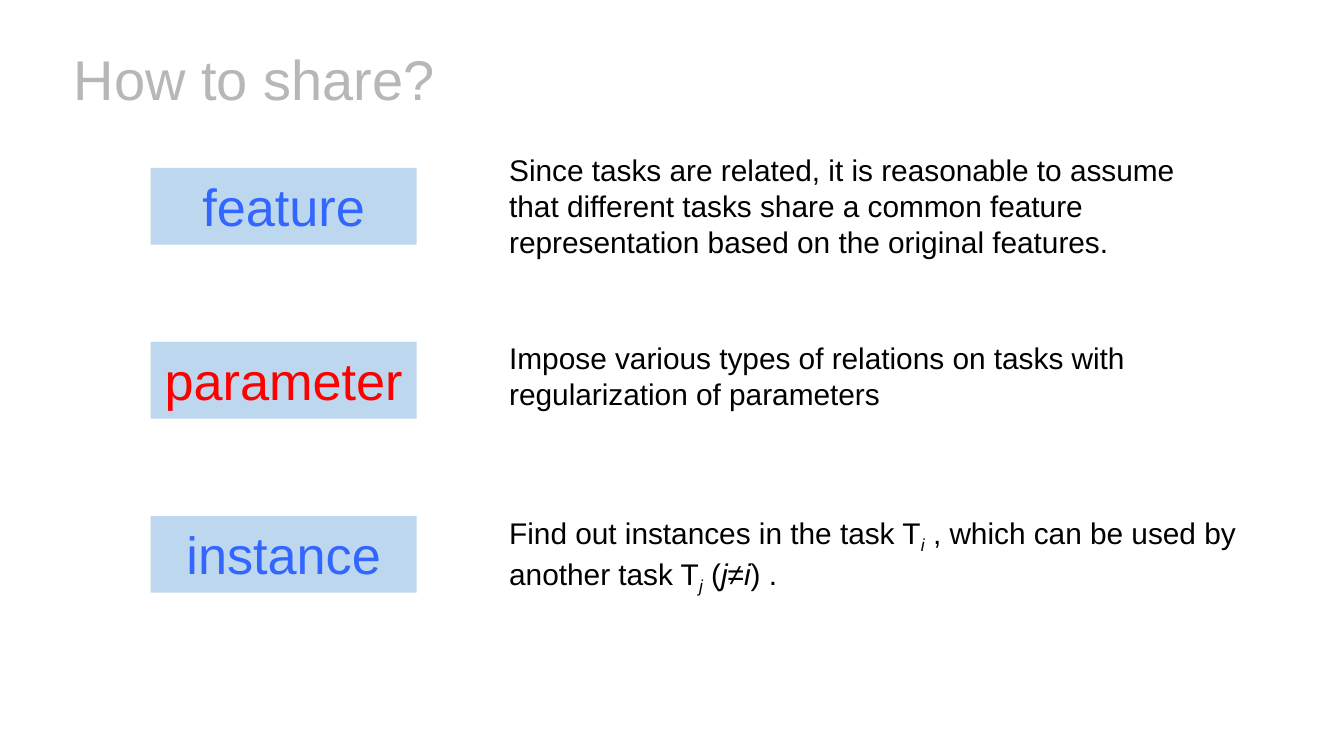
from dataclasses import dataclass

import pptx
import pptx.dml.color
import pptx.enum.shapes
import pptx.enum.text
import pptx.util
from pptx.util import Inches


@dataclass(frozen=True)
class Theme:
    font: str = "Arial"
    title_size: int = 30
    label_size: int = 28
    body_size: int = 16
    title: str = "B7B7B7"
    blue: str = "3366FF"
    red: str = "FF0000"
    black: str = "000000"
    label_fill: str = "BDD7EE"


THEME = Theme()
PLAIN, ITALIC, SUBSCRIPT = "plain", "italic", "subscript"
ALIGN = pptx.enum.text.PP_ALIGN
ANCHOR = pptx.enum.text.MSO_ANCHOR

SLIDE_WIDTH = Inches(10)
SLIDE_HEIGHT = SLIDE_WIDTH * 9 // 16
FIRST_LABEL_TOP, LAST_LABEL_TOP = 1.25, 3.84

# label, label colour, description top, width, height, description spans
ROWS = [
    ("feature", THEME.blue, 1.08, 5.25, 0.91, [
        ("Since tasks are related, it is reasonable to assume that different "
         "tasks share a common feature representation based on the original "
         "features.", PLAIN)]),
    ("parameter", THEME.red, 2.48, 5.39, 0.64, [
        ("Impose various types of relations on tasks with regularization of "
         "parameters", PLAIN)]),
    ("instance", THEME.blue, 3.78, 5.65, 0.64, [
        ("Find out instances in the task T", PLAIN), ("i", SUBSCRIPT),
        (" , which can be used by another task T", PLAIN), ("j", SUBSCRIPT),
        (" (", PLAIN), ("j", ITALIC), ("≠", PLAIN), ("i", ITALIC),
        (") .", PLAIN)]),
]


def set_all(target, values):
    for name, value in values.items():
        setattr(target, name, value)


def add_span(para, text, size, color, style=PLAIN):
    span = para.add_run()
    span.text = text
    set_all(span.font, {
        "name": THEME.font,
        "size": pptx.util.Pt(size),
        "bold": False,
        "italic": style in (ITALIC, SUBSCRIPT),
    })
    span.font.color.rgb = pptx.dml.color.RGBColor.from_string(color)
    if style == SUBSCRIPT:
        span.font._element.set("baseline", "-25000")


def format_title(slide, text):
    title = slide.shapes.title
    set_all(title, {"left": Inches(0.48), "top": Inches(0.3),
                    "width": Inches(9.21), "height": Inches(0.63)})
    frame = title.text_frame
    margins = ("margin_left", "margin_top", "margin_right", "margin_bottom")
    set_all(frame, {name: Inches(0.07) for name in margins})
    set_all(frame, {"word_wrap": True, "vertical_anchor": ANCHOR.MIDDLE,
                    "auto_size": pptx.enum.text.MSO_AUTO_SIZE.NONE})
    para = frame.paragraphs[0]
    set_all(para, {"alignment": ALIGN.LEFT, "line_spacing": 0.9})
    add_span(para, text, THEME.title_size, THEME.title)


def add_label(slide, top, text, color):
    box = slide.shapes.add_shape(
        pptx.enum.shapes.MSO_SHAPE.RECTANGLE,
        Inches(1.12), Inches(top), Inches(1.98), Inches(0.57))
    box.shadow.inherit = False
    box.fill.solid()
    box.fill.fore_color.rgb = pptx.dml.color.RGBColor.from_string(THEME.label_fill)
    box.line.fill.background()
    set_all(box.text_frame, {"word_wrap": True, "vertical_anchor": ANCHOR.TOP})
    para = box.text_frame.paragraphs[0]
    para.alignment = ALIGN.CENTER
    add_span(para, text, THEME.label_size, color)


def add_description(slide, top, width, height, spans):
    box = slide.shapes.add_textbox(
        Inches(3.69), Inches(top), Inches(width), Inches(height))
    box.text_frame.word_wrap = True
    para = box.text_frame.paragraphs[0]
    for text, style in spans:
        add_span(para, text, THEME.body_size, THEME.black, style)


def main():
    deck = pptx.Presentation()
    set_all(deck, {"slide_width": SLIDE_WIDTH, "slide_height": SLIDE_HEIGHT})
    page = deck.slides.add_slide(deck.slide_layouts.get_by_name("Title Only"))
    format_title(page, "How to share?")
    pitch = (LAST_LABEL_TOP - FIRST_LABEL_TOP) / (len(ROWS) - 1)
    for index, (label, color, top, width, height, spans) in enumerate(ROWS):
        add_label(page, FIRST_LABEL_TOP + index * pitch, label, color)
        add_description(page, top, width, height, spans)
    deck.save("out.pptx")


if __name__ == "__main__":
    main()
